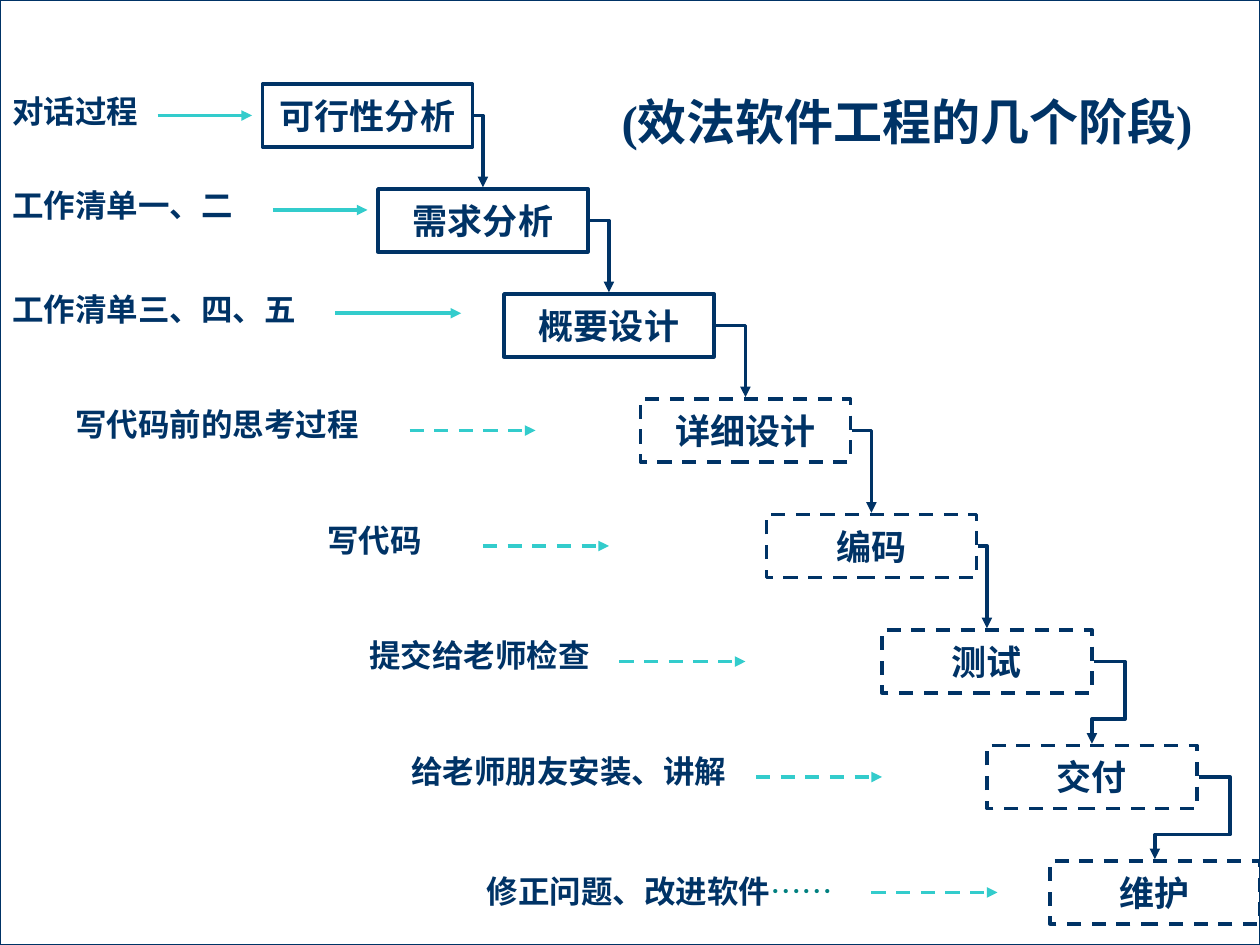
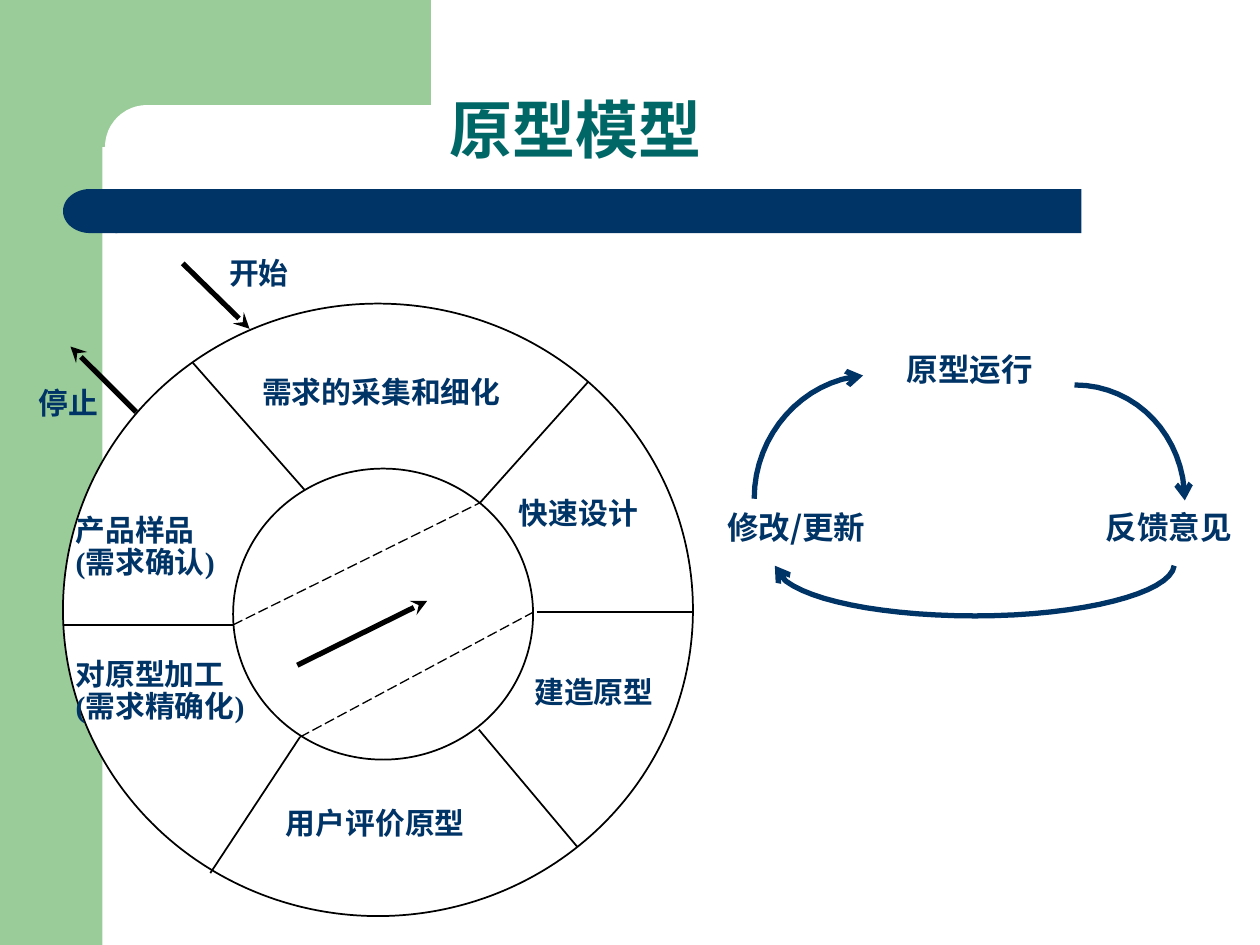
from dataclasses import dataclass
from lxml.etree import SubElement
from pptx import Presentation
from pptx.dml.color import RGBColor
from pptx.enum.dml import MSO_LINE
from pptx.enum.shapes import MSO_CONNECTOR, MSO_SHAPE
from pptx.enum.text import MSO_ANCHOR, MSO_AUTO_SIZE, PP_ALIGN
from pptx.oxml.ns import qn
from pptx.util import Pt


@dataclass(frozen=True)
class Theme:
    navy: str = "003366"
    green: str = "99CC99"
    title_green: str = "006666"
    teal: str = "008080"
    aqua: str = "33CCCC"
    black: str = "000000"
    white: str = "FFFFFF"
    serif: str = "Times New Roman"
    sans: str = "Arial"
    chinese: str = "Noto Sans CJK SC"
    phase_title_size: int = 28
    model_title_size: int = 36
    stage_size: int = 20
    label_size: int = 18
    wheel_size: int = 17
    heavy: float = 3
    medium: float = 2
    thin: float = 1
    hairline: float = 0.75


THEME = Theme()
PAGE_WIDTH, PAGE_HEIGHT = 720, 540

# Stage, its box corner
STAGES = [
    ("可行性分析", 150, 48), ("需求分析", 216, 108), ("概要设计", 288, 168),
    ("详细设计", 366, 228), ("编码", 438, 294), ("测试", 504, 360),
    ("交付", 564, 426), ("维护", 600, 492),
]
STAGE_WIDTH, STAGE_HEIGHT = 120, 36
SOLID_STAGES = 3

# Activity, its left, top and width, then its arrow's start, height and length
ACTIVITIES = [
    ("对话过程", 0, 49, 90, 90, 66, 54),
    ("工作清单一、二", 0, 103, 162, 156, 120, 54),
    ("工作清单三、四、五", 0, 162, 186, 191.5, 179, 72),
    ("写代码前的思考过程", 36, 228, 186, 234, 246, 72),
    ("写代码", 180, 294, 96, 276, 312, 72),
    ("提交给老师检查", 204, 360, 144, 354, 378, 72),
    ("给老师朋友安装、讲解", 228, 426, 210, 432, 444, 72),
    ("修正问题、改进软件", 271, 495, 225, 498, 510, 72),
]

# Wheel parts, relative to the wheel's corner
WHEEL_LABELS = [
    (["需求的采集和细化"], 113.8, 40.3, 153.4, 22.3),
    (["快速设计"], 260.6, 109.4, 80, 22.3),
    (["建造原型"], 269.3, 211.7, 80, 22.3),
    (["用户评价原型"], 127.4, 286.6, 121, 22.3),
    (["对原型加工", "(需求精确化)"], 7.2, 200.2, 111, 43.2),
    (["产品样品", "(需求确认)"], 7.2, 115.9, 95.8, 47.5),
    (["开始"], 95, -27.4, 47.5, 22.3),
    (["停止"], -13.7, 46.8, 47.5, 22.3),
]
SPOKES = [
    (74.2, 33.8, 138.2, 106.6), (0.7, 183.6, 97.2, 183.6),
    (135.4, 247.7, 84.2, 325.4), (237.6, 243.4, 293.8, 310.3),
    (270.7, 176.4, 359.3, 176.4), (238.3, 113.8, 300.2, 44.6),
]
DASHED_CHORDS = [(97.2, 183.6, 238.3, 113.8), (135.4, 247.7, 268.6, 176.4)]
WHEEL_ARROWS = [
    (133.9, 206.6, 208.1, 169.9), (68.4, -23, 106.6, 14.4),
    (41.8, 61.9, 4.3, 24.5),
]

# Cycle parts, relative to the cycle's corner; arcs are chained cubic curves
CYCLE_LABELS = [
    ("原型运行", 96, 0.5, 162), ("反馈意见", 222, 90.5, 138),
    ("修改/更新", 0, 90.5, 156),
]
CYCLE_ARCS = [
    [(237, 24), (273, 24), (300, 54), (300, 90)],
    [(54, 89), (54, 52), (82, 21.4), (116.2, 18.6)],
    [(294, 127.3), (292, 143), (241.5, 156), (180.3, 156),
     (119, 156), (68.7, 144), (65.8, 127.3)],
]


def colour(code):
    return RGBColor.from_string(code)


def add_span(para, text, size, code=THEME.navy, font=THEME.serif, bold=True):
    span = para.add_run()
    span.text = text
    span.font.size = Pt(size)
    span.font.bold = bold
    span.font.color.rgb = colour(code)
    span.font.name = font
    east_asian = SubElement(span.font._element, qn("a:ea"))
    east_asian.set("typeface", THEME.chinese)


def style_line(item, code, width, dash=None, arrow=None):
    item.line.color.rgb = colour(code)
    item.line.width = Pt(width)
    if dash:
        item.line.dash_style = dash
    if arrow:
        outline = item._element.spPr.find(qn("a:ln"))
        SubElement(outline, qn("a:tailEnd")).set("type", arrow)


def add_block(page, kind, left, top, width, height, fill=None):
    block = page.shapes.add_shape(kind, Pt(left), Pt(top), Pt(width), Pt(height))
    block.shadow.inherit = False
    if fill:
        block.fill.solid()
        block.fill.fore_color.rgb = colour(fill)
    else:
        block.fill.background()
    block.line.fill.background()
    return block


def add_straight(page, start_x, start_y, end_x, end_y, code, width, dash=None, arrow=None):
    line = page.shapes.add_connector(
        MSO_CONNECTOR.STRAIGHT, Pt(start_x), Pt(start_y), Pt(end_x), Pt(end_y))
    style_line(line, code, width, dash, arrow)
    SubElement(line._element.spPr, qn("a:effectLst"))


def add_label(page, text, left, top, width, font=THEME.serif, align=PP_ALIGN.LEFT):
    box = page.shapes.add_textbox(Pt(left), Pt(top), Pt(width), Pt(28.8))
    box.text_frame.word_wrap = True
    box.text_frame.auto_size = MSO_AUTO_SIZE.SHAPE_TO_FIT_TEXT
    para = box.text_frame.paragraphs[0]
    para.alignment = align
    add_span(para, text, THEME.label_size, font=font)
    return para


def set_title(page, text, left, top, width, height, size, code, font, margin=7.2):
    title = page.shapes.title
    title.left, title.top = Pt(left), Pt(top)
    title.width, title.height = Pt(width), Pt(height)
    frame = title.text_frame
    frame.auto_size = MSO_AUTO_SIZE.NONE
    frame.word_wrap = True
    frame.vertical_anchor = MSO_ANCHOR.BOTTOM
    frame.margin_left = Pt(margin)
    para = frame.paragraphs[0]
    para.alignment = PP_ALIGN.LEFT
    para.line_spacing = 0.9
    add_span(para, text, size, code, font)


def add_stage(page, name, left, top, dash):
    box = add_block(page, MSO_SHAPE.RECTANGLE, left, top, STAGE_WIDTH, STAGE_HEIGHT)
    style_line(box, THEME.navy, THEME.medium, dash)
    frame = box.text_frame
    frame.word_wrap = False
    frame.vertical_anchor = MSO_ANCHOR.MIDDLE
    para = frame.paragraphs[0]
    para.alignment = PP_ALIGN.CENTER
    add_span(para, name, THEME.stage_size)
    return box


def join_stages(page, upper, lower):
    elbow = page.shapes.add_connector(MSO_CONNECTOR.ELBOW, 0, 0, 0, 0)
    elbow.begin_connect(upper, 3)
    elbow.end_connect(lower, 0)
    # Leave room for the box outlines
    elbow.begin_x += Pt(1)
    elbow.end_y -= Pt(1)
    geometry = elbow._element.spPr.find(qn("a:prstGeom"))
    if elbow.end_x > elbow.begin_x:
        geometry.set("prst", "bentConnector2")
    else:
        # Step out to the right before turning back
        geometry.set("prst", "bentConnector4")
        guides = geometry.find(qn("a:avLst"))
        if guides is None:
            guides = SubElement(geometry, qn("a:avLst"))
        reach = -round(100000 * Pt(18) / elbow.width)
        for name, value in (("adj1", reach), ("adj2", 70200)):
            guide = SubElement(guides, qn("a:gd"))
            guide.set("name", name)
            guide.set("fmla", f"val {value}")
    style_line(elbow, THEME.navy, THEME.medium, arrow="triangle")
    SubElement(elbow._element.spPr, qn("a:effectLst"))


def add_waterfall(page, left, top):
    dashes = [None if index < SOLID_STAGES else MSO_LINE.DASH
              for index in range(len(STAGES))]
    boxes = [add_stage(page, name, left + x, top + y, dash)
             for (name, x, y), dash in zip(STAGES, dashes)]
    # Activities and their arrows
    for (text, x, y, width, start, level, length), dash in zip(ACTIVITIES, dashes):
        para = add_label(page, text, left + x, top + y, width)
        add_straight(page, left + start, top + level, left + start + length,
                     top + level, THEME.aqua, THEME.medium, dash, "triangle")
    add_span(para, "……", THEME.label_size, THEME.teal, bold=False)
    for upper, lower in zip(boxes, boxes[1:]):
        join_stages(page, upper, lower)


def add_backdrop(page):
    # Green corner with a rounded inner edge
    add_block(page, MSO_SHAPE.RECTANGLE, 0, 0, 58.5, PAGE_HEIGHT, THEME.green)
    add_block(page, MSO_SHAPE.RECTANGLE, 52.5, 0, 193.8, 84, THEME.green)
    corner = add_block(page, MSO_SHAPE.ROUNDED_RECTANGLE, 60, 60, 402, 48, THEME.white)
    corner.adjustments[0] = 0.5
    # Navy bar with a round left end
    add_block(page, MSO_SHAPE.RECTANGLE, 66, 108, 552, 25.2, THEME.navy)
    cap = add_block(page, MSO_SHAPE.FLOWCHART_DELAY, 36, 108, 31, 25.2, THEME.navy)
    cap.rotation = 180


def add_wheel(page, left, top):
    # Rings
    for x, y, width, height in ((0, 0, 360, 350), (97.2, 94.3, 171.4, 166.3)):
        ring = add_block(page, MSO_SHAPE.OVAL, left + x, top + y, width, height, THEME.white)
        style_line(ring, THEME.black, THEME.thin)
    # Sector labels
    for lines, x, y, width, height in WHEEL_LABELS:
        box = page.shapes.add_textbox(Pt(left + x), Pt(top + y), Pt(width), Pt(height))
        frame = box.text_frame
        frame.word_wrap = True
        frame.vertical_anchor = MSO_ANCHOR.MIDDLE
        frame.margin_left = frame.margin_right = frame.margin_top = frame.margin_bottom = 0
        for index, text in enumerate(lines):
            para = frame.add_paragraph() if index else frame.paragraphs[0]
            para.alignment = PP_ALIGN.JUSTIFY
            para.line_spacing = 0.9
            add_span(para, text, THEME.wheel_size)
    # Spokes, dashed chords and arrows
    for lines, width, dash, arrow in (
            (SPOKES, THEME.thin, None, None),
            (DASHED_CHORDS, THEME.hairline, MSO_LINE.LONG_DASH, None),
            (WHEEL_ARROWS, THEME.heavy, None, "stealth")):
        for x1, y1, x2, y2 in lines:
            add_straight(page, left + x1, top + y1, left + x2, top + y2,
                         THEME.black, width, dash, arrow)


def curve_points(controls, steps=16):
    points = [controls[0]]
    for first in range(0, len(controls) - 1, 3):
        a, b, c, d = controls[first:first + 4]
        for step in range(1, steps + 1):
            t = step / steps
            weights = ((1 - t) ** 3, 3 * t * (1 - t) ** 2, 3 * t * t * (1 - t), t ** 3)
            points.append(tuple(sum(w * v for w, v in zip(weights, values))
                                for values in zip(a, b, c, d)))
    return points


def add_cycle(page, left, top):
    for text, x, y, width in CYCLE_LABELS:
        add_label(page, text, left + x, top + y, width, THEME.chinese, PP_ALIGN.CENTER)
    for controls in CYCLE_ARCS:
        points = [(Pt(left + x), Pt(top + y)) for x, y in curve_points(controls)]
        builder = page.shapes.build_freeform(*points[0])
        builder.add_line_segments(points[1:], close=False)
        arc = builder.convert_to_shape()
        arc.shadow.inherit = False
        arc.fill.background()
        style_line(arc, THEME.navy, THEME.heavy, arrow="arrow")


def build_phases_page(page):
    frame = add_block(page, MSO_SHAPE.RECTANGLE, 0, 0, PAGE_WIDTH, PAGE_HEIGHT, THEME.white)
    style_line(frame, THEME.navy, THEME.hairline)
    # Keep the frame behind the title
    page.shapes.title._element.addprevious(frame._element)
    set_title(page, "(效法软件工程的几个阶段)", 348, -6, 354, 96,
              THEME.phase_title_size, THEME.navy, THEME.serif)
    add_waterfall(page, 0, 0)


def build_prototype_page(page):
    add_backdrop(page)
    # Bring the title in front of the backdrop
    page.shapes[-1]._element.addnext(page.shapes.title._element)
    set_title(page, "原型模型", 103.7, 9.4, 613.4, 90, THEME.model_title_size,
              THEME.title_green, THEME.sans, margin=153)
    add_wheel(page, 36, 173.5)
    add_cycle(page, 377, 196)


def main():
    deck = Presentation()
    deck.slide_width, deck.slide_height = Pt(PAGE_WIDTH), Pt(PAGE_HEIGHT)
    for build in (build_phases_page, build_prototype_page):
        build(deck.slides.add_slide(deck.slide_layouts[5]))
    deck.save("out.pptx")


if __name__ == "__main__":
    main()
